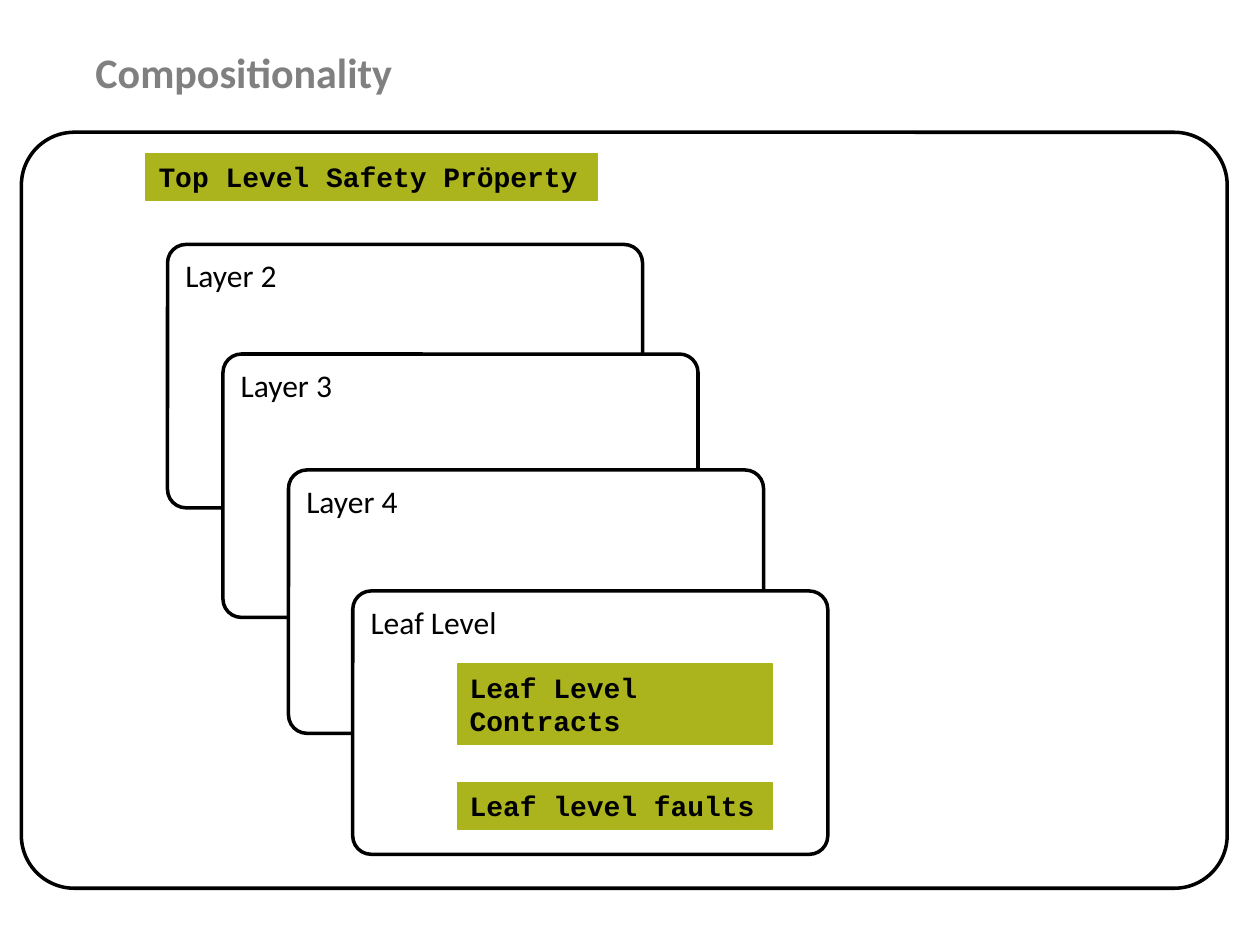
"""Build the Compositionality slide with its cascade of nested layers."""
from dataclasses import dataclass

from pptx import Presentation
from pptx.dml.color import RGBColor
from pptx.enum.shapes import MSO_SHAPE
from pptx.enum.text import MSO_ANCHOR, MSO_AUTO_SIZE, PP_ALIGN
from pptx.util import Inches, Pt

ROUNDED = MSO_SHAPE.ROUNDED_RECTANGLE
RECTANGLE = MSO_SHAPE.RECTANGLE
TOP = MSO_ANCHOR.TOP
LEFT = PP_ALIGN.LEFT
GROW = MSO_AUTO_SIZE.SHAPE_TO_FIT_TEXT


@dataclass(frozen=True)
class Theme:
    ink: RGBColor = RGBColor(0x00, 0x00, 0x00)
    paper: RGBColor = RGBColor(0xFF, 0xFF, 0xFF)
    accent: RGBColor = RGBColor(0xAB, 0xB4, 0x1D)
    heading: RGBColor = RGBColor(0x80, 0x80, 0x80)
    sans: str = "Calibri"
    mono: str = "Courier New"
    title_size: Pt = Pt(24)
    layer_size: Pt = Pt(18)
    label_size: Pt = Pt(16)
    frame_width: Pt = Pt(2)
    label_width: Pt = Pt(0.75)
    corner: float = 0.07


theme = Theme()
deck = Presentation()
deck.slide_width = Inches(10)
deck.slide_height = Inches(7.5)
page = deck.slides.add_slide(deck.slide_layouts[6])
column = deck.slide_width / 20
row = deck.slide_height / 15


def add_box(kind, left, top, width, height, fill, line, line_width):
    box = page.shapes.add_shape(
        kind, int(left * column), int(top * row), int(width * column), int(height * row)
    )
    box.shadow.inherit = False
    if fill is None:
        box.fill.background()
    else:
        box.fill.solid()
        box.fill.fore_color.rgb = fill
    box.line.color.rgb = line
    box.line.width = line_width
    if kind == ROUNDED:
        box.adjustments[0] = theme.corner
    return box


def write(box, lines, font, size, color, bold=False, wrap=True):
    frame = box.text_frame
    frame.word_wrap = wrap
    frame.vertical_anchor = TOP
    for index, line in enumerate(lines):
        para = frame.add_paragraph() if index else frame.paragraphs[0]
        para.alignment = LEFT
        span = para.add_run()
        span.text = line
        span.font.name = font
        span.font.size = size
        span.font.bold = bold
        span.font.color.rgb = color


add_box(ROUNDED, 0.34, 2.1, 19.14, 12, None, theme.ink, theme.frame_width)

layers = [
    ("Layer 2", 2.66, 3.88),
    ("Layer 3", 3.54, 5.62),
    ("Layer 4", 4.58, 7.46),
    ("Leaf Level", 5.6, 9.38),
]
for name, left, top in layers:
    layer = add_box(ROUNDED, left, top, 7.54, 4.18, theme.paper, theme.ink, theme.frame_width)
    write(layer, [name], theme.sans, theme.layer_size, theme.ink)

labels = [
    (["Top Level Safety Pröperty"], 2.32, 2.44, 7.16, 0.74),
    (["Leaf Level", "Contracts"], 7.26, 10.54, 5, 1.28),
    (["Leaf level faults"], 7.26, 12.42, 5, 0.74),
]
for lines, left, top, width, height in labels:
    label = add_box(
        RECTANGLE, left, top, width, height, theme.accent, theme.accent, theme.label_width
    )
    write(label, lines, theme.mono, theme.label_size, theme.ink, True, len(lines) > 1)
    label.text_frame.auto_size = GROW

title = page.shapes.add_textbox(
    int(1.32 * column), int(0.64 * row), int(17 * column), int(1.26 * row)
)
write(title, ["Compositionality"], theme.sans, theme.title_size, theme.heading, True)

deck.save("out.pptx")
